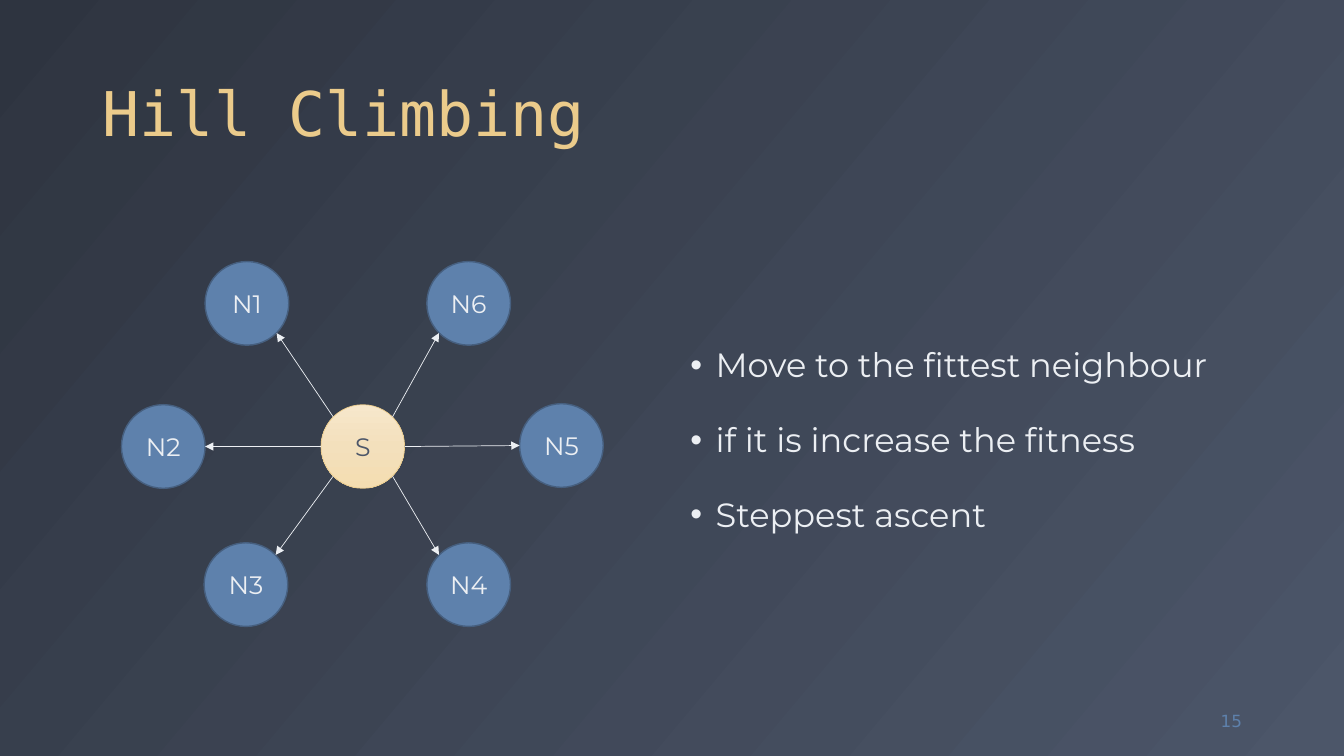
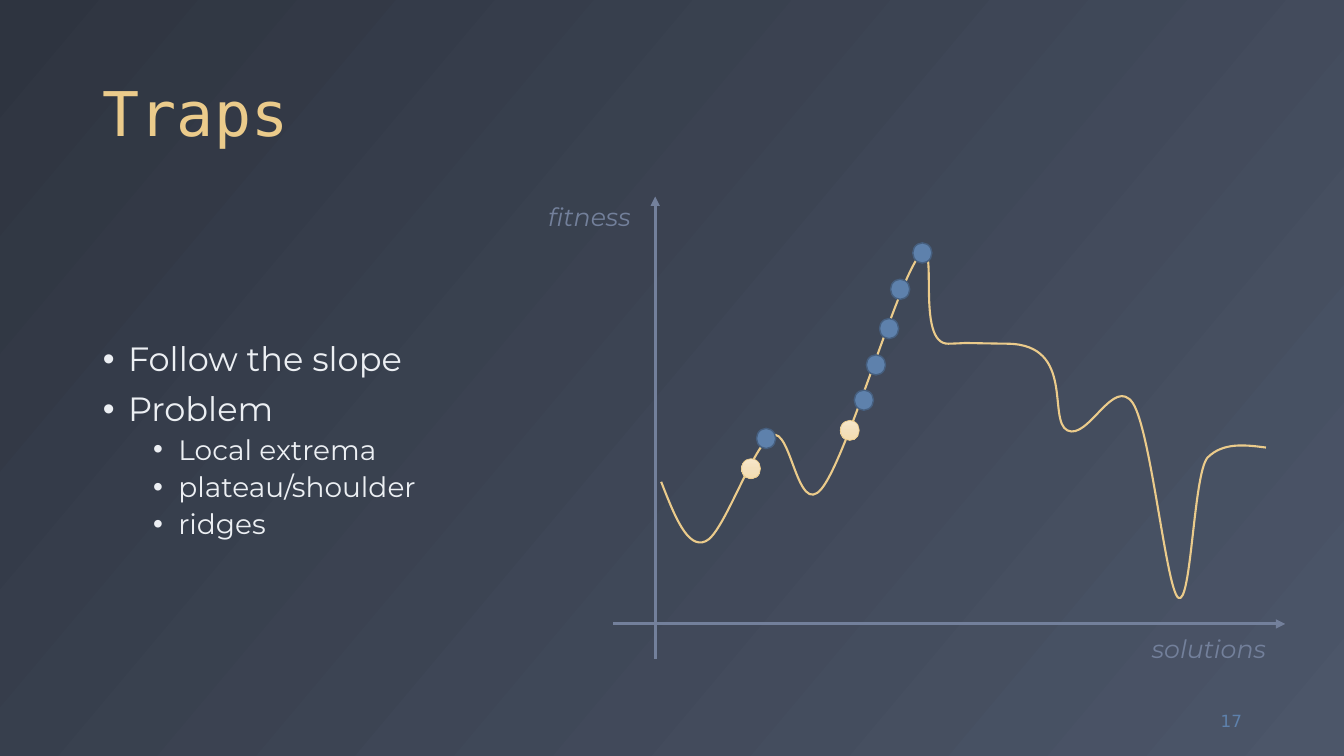
from copy import deepcopy

from lxml import etree
from pptx import Presentation
from pptx import util as u
from pptx.dml.color import RGBColor
from pptx.enum import shapes, text
from pptx.oxml.ns import qn

COLORS = {"dark": "2E3440", "slate": "4C5669", "sand": "EBCB8B", "cream": "F7E7CB",
          "straw": "F3E0BC", "wheat": "F4DDB1", "snow": "ECEFF3", "blue": "5E81AC",
          "navy": "465F7F", "axis": "73809B"}
FONTS = {
    "title": {"name": "DejaVu Sans Mono", "size": u.Pt(44), "color": "sand"},
    "item": {"name": "Montserrat", "size": u.Pt(24), "color": "snow"},
    "subitem": {"name": "Montserrat", "size": u.Pt(20), "color": "snow"},
    "number": {"name": "DejaVu Sans", "size": u.Pt(12), "color": "blue"},
    "node": {"name": "Montserrat", "size": u.Pt(18), "color": "snow"},
    "start": {"name": "Montserrat", "size": u.Pt(18), "color": "slate"},
    "label": {"name": "Montserrat", "size": u.Pt(18), "color": "axis", "italic": True},
}
LEVELS = [("item", 0.25, 10), ("subitem", 0.75, 5)]
TITLE_BOX = (0.92, 0.18, 11.5, 1.36)
NUMBER_BOX = (11.59, 6.95, 0.83, 0.4)
NEIGHBOURS = [("N1", -1.15, -1.42), ("N2", -1.98, 0), ("N3", -1.16, 1.37),
              ("N4", 1.05, 1.37), ("N5", 1.97, -0.01), ("N6", 1.05, -1.42)]
CURVE_START = (0.06, 1.41)
CURVE = [
    [(0.19, 1.08), (0.32, 0.74), (0.5, 0.82)],
    [(0.68, 0.89), (0.97, 1.78), (1.16, 1.87)],
    [(1.35, 1.96), (1.41, 1.05), (1.65, 1.34)],
    [(1.9, 1.64), (2.41, 3.41), (2.62, 3.65)],
    [(2.83, 3.89), (2.57, 2.77), (2.91, 2.78)],
    [(3.24, 2.79), (2.83, 2.79), (3.5, 2.78)],
    [(4.17, 2.77), (3.89, 2.02), (4.09, 1.92)],
    [(4.3, 1.82), (4.55, 2.47), (4.74, 2.19)],
    [(4.92, 1.91), (5.07, 0.35), (5.19, 0.26)],
    [(5.32, 0.17), (5.34, 1.49), (5.48, 1.65)],
    [(5.63, 1.8), (5.84, 1.78), (6.06, 1.75)],
]
CLIMBS = [
    [(0.95, 1.54), (1.1, 1.84)],
    [(1.93, 1.92), (2.07, 2.22), (2.19, 2.57), (2.32, 2.93), (2.43, 3.32), (2.65, 3.68)],
]


def rgb(name):
    """Return a named colour."""
    return RGBColor.from_string(COLORS[name])


def inches(values):
    """Turn plain numbers into lengths."""
    return [u.Inches(v) for v in values]


def apply(obj, **values):
    """Set several attributes of one object."""
    for key, value in values.items():
        setattr(obj, key, value)


def write(p, words, style):
    """Add a run in one of the named text styles."""
    r = p.add_run()
    r.text = words
    for key, value in FONTS[style].items():
        if key == "color":
            r.font.color.rgb = rgb(value)
        else:
            setattr(r.font, key, value)


def gradient(fill, element, names, angle):
    """Fill with evenly spaced colours, the angle measured clockwise."""
    fill.gradient()
    fill.gradient_angle = 360 - angle
    stops = next(element.iter(qn("a:gsLst")))
    while len(stops) < len(names):
        stops.insert(1, deepcopy(stops[0]))
    for i, (stop, name) in enumerate(zip(fill.gradient_stops, names)):
        stop.color.rgb = rgb(name)
        stop.position = i / (len(names) - 1)


def stroke(line, color, width):
    """Colour a line and set its width in points."""
    line.color.rgb = rgb(color)
    line.width = u.Pt(width)


def place(sp, box):
    """Move a placeholder into a box."""
    apply(sp, **dict(zip(("left", "top", "width", "height"), inches(box))))


def add_label(s, box, words, style, **frame):
    """Add a one-line text box and return its paragraph."""
    tf = s.shapes.add_textbox(*inches(box)).text_frame
    apply(tf, **frame)
    write(tf.paragraphs[0], words, style)
    return tf.paragraphs[0]


def add_circle(s, cx, cy, w, h, start=False):
    """Add an ellipse around a centre, cream for a start and blue otherwise."""
    sp = s.shapes.add_shape(shapes.MSO_SHAPE.OVAL, *inches((cx - w / 2, cy - h / 2, w, h)))
    sp.shadow.inherit = False
    if start:
        gradient(sp.fill, sp._element, ("cream", "straw", "wheat"), 90)
        stroke(sp.line, "sand", 0.5)
    else:
        sp.fill.solid()
        sp.fill.fore_color.rgb = rgb("blue")
        stroke(sp.line, "navy", 1)
    return sp


def add_arrow(s, x1, y1, x2, y2, color, width):
    """Add a straight arrow."""
    c = s.shapes.add_connector(shapes.MSO_CONNECTOR.STRAIGHT, *inches((x1, y1, x2, y2)))
    stroke(c.line, color, width)
    sppr = c._element.spPr
    etree.SubElement(sppr.find(qn("a:ln")), qn("a:tailEnd"), type="triangle")
    etree.SubElement(sppr, qn("a:effectLst"))


def add_curve(s, start, segments):
    """Add an open outline through cubic segments of three points each."""
    builder = s.shapes.build_freeform(*inches(start))
    builder.add_line_segments([inches(segment[-1]) for segment in segments], close=False)
    sp = builder.convert_to_shape()
    for node, segment in zip(list(sp._element.iter(qn("a:lnTo"))), segments):
        cubic = etree.Element(qn("a:cubicBezTo"))
        for x, y in map(inches, segment):
            etree.SubElement(cubic, qn("a:pt"), x=str(x - sp.left), y=str(y - sp.top))
        node.getparent().replace(node, cubic)
    sp.shadow.inherit = False
    sp.fill.background()
    stroke(sp.line, "sand", 1.5)


def add_bullets(sp, box, items):
    """Fill the body placeholder with (level, line spacing, words) items."""
    place(sp, box)
    tf = sp.text_frame
    apply(tf, vertical_anchor=text.MSO_ANCHOR.MIDDLE, auto_size=text.MSO_AUTO_SIZE.NONE)
    for i, (level, spacing, words) in enumerate(items):
        p = tf.add_paragraph() if i else tf.paragraphs[0]
        style, margin, before = LEVELS[level]
        apply(p, level=level, line_spacing=spacing, space_before=u.Pt(before))
        write(p, words, style)
        ppr = p._p.get_or_add_pPr()
        ppr.set("marL", str(u.Inches(margin)))
        ppr.set("indent", str(u.Inches(-0.25)))
        etree.SubElement(ppr, qn("a:buFont"), typeface="Arial")
        etree.SubElement(ppr, qn("a:buChar"), char="\u2022")


def add_page(prs, title, number, box, items):
    """Add a slide with title, bullets and slide number."""
    s = prs.slides.add_slide(prs.slide_layouts[1])
    sp = s.shapes.title
    place(sp, TITLE_BOX)
    apply(sp.text_frame, vertical_anchor=text.MSO_ANCHOR.BOTTOM,
          auto_size=text.MSO_AUTO_SIZE.NONE)
    p = sp.text_frame.paragraphs[0]
    apply(p, alignment=text.PP_ALIGN.LEFT, line_spacing=0.9)
    write(p, title, "title")
    add_bullets(s.placeholders[1], box, items)
    p = add_label(s, NUMBER_BOX, number, "number", word_wrap=True,
                  vertical_anchor=text.MSO_ANCHOR.MIDDLE)
    p.alignment = text.PP_ALIGN.RIGHT
    return s


def add_neighbourhood(s, box, size=0.83):
    """Draw the state S with arrows to its neighbours."""
    x, y, w, h = box
    cx, cy = x + w / 2, y + h / 2 + 0.02
    for name, dx, dy in [("S", 0, 0)] + NEIGHBOURS:
        start = name == "S"
        sp = add_circle(s, cx + dx, cy + dy, size, size, start)
        tf = sp.text_frame
        apply(tf, word_wrap=False, vertical_anchor=text.MSO_ANCHOR.MIDDLE)
        tf.paragraphs[0].alignment = text.PP_ALIGN.CENTER
        write(tf.paragraphs[0], name, "start" if start else "node")
    for name, dx, dy in NEIGHBOURS:
        side = size / 2 if dx > 0 else -size / 2
        if abs(dy) < size / 2:
            ox, oy = side, 0
        else:
            ox, oy = side * 0.71, size / 2 * (0.71 if dy > 0 else -0.71)
        add_arrow(s, cx + ox, cy + oy, cx + dx - ox, cy + dy - oy, "snow", 0.5)


def add_landscape(s, box):
    """Draw the fitness curve on its axes, with two climbs."""
    x, y, w, h = box
    x0, y0 = x + 1.16, y + 4.24

    def at(point):
        """Map a plot point to the slide."""
        return x0 + point[0], y0 - point[1]

    add_arrow(s, x + 0.74, y0, x + w, y0, "axis", 2.25)
    add_arrow(s, x0, y + h, x0, y, "axis", 2.25)
    for words, lx, ly, lw in [("fitness", x, y, 1.03),
                              ("solutions", x + w - 1.42, y0 + 0.04, 1.34)]:
        add_label(s, (lx, ly, lw, 0.4), words, "label", word_wrap=False,
                  auto_size=text.MSO_AUTO_SIZE.SHAPE_TO_FIT_TEXT)
    add_curve(s, at(CURVE_START), [[at(point) for point in segment] for segment in CURVE])
    for climb in CLIMBS:
        for i, point in enumerate(climb):
            add_circle(s, *at(point), 0.19, 0.2, start=i == 0)


def main():
    """Build the two slides."""
    prs = Presentation()
    apply(prs, slide_width=u.Inches(40 / 3), slide_height=u.Inches(7.5))
    master = prs.slide_master
    gradient(master.background.fill, master._element, ("dark", "slate"), 40)
    s = add_page(prs, "Hill Climbing", "15", (6.75, 2, 5.67, 4.76), [
        (0, 0.9, "Move to the fittest neighbour"),
        (0, 1.5, "if it is increase the fitness"),
        (0, 1.5, "Steppest ascent")])
    add_neighbourhood(s, (1.21, 2.6, 4.78, 3.62))
    s = add_page(prs, "Traps", "17", (0.92, 2, 4.42, 4.76), [
        (0, 0.9, "Follow the slope"),
        (0, 0.9, "Problem"),
        (1, 0.9, "Local extrema"),
        (1, 0.9, "plateau/shoulder"),
        (1, 0.9, "ridges")])
    add_landscape(s, (5.34, 1.95, 7.41, 4.59))
    prs.save("out.pptx")


main()
